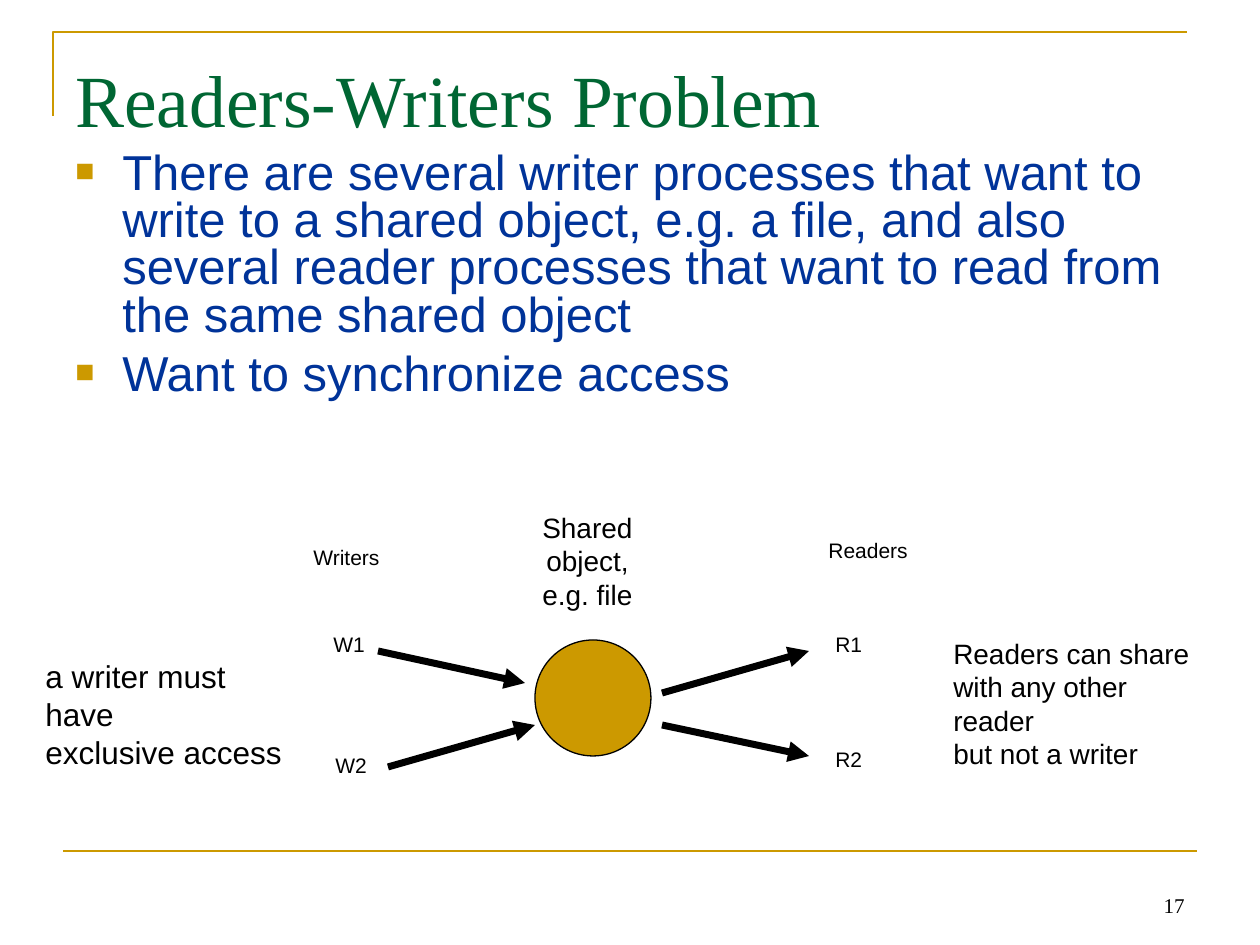
from lxml.etree import SubElement
from pptx import Presentation
from pptx.dml.color import RGBColor
from pptx.enum.shapes import MSO_CONNECTOR, MSO_SHAPE
from pptx.enum.text import MSO_ANCHOR, MSO_AUTO_SIZE, PP_ALIGN
from pptx.oxml.ns import qn
from pptx.util import Emu, Pt

SCALE = 914400 / 126
GOLD, BLACK = "CC9900", "000000"


def tint(color):
    return RGBColor.from_string(color)


def write(box, lines, size, color=BLACK, face="Arial", wrap=False, **form):
    shape = deck.shapes.add_textbox(*[Emu(round(n * SCALE)) for n in box])
    frame = shape.text_frame
    frame.word_wrap = wrap
    frame.auto_size = MSO_AUTO_SIZE.NONE if wrap else MSO_AUTO_SIZE.SHAPE_TO_FIT_TEXT
    for i, line in enumerate(lines):
        para = frame.paragraphs[0] if i == 0 else frame.add_paragraph()
        run = para.add_run()
        run.text = line
        run.font.color.rgb = tint(color)
        for key, value in {"size": Pt(size), "name": face}.items():
            setattr(run.font, key, value)
        for key, value in form.items():
            setattr(para, key, value)
    return frame


show = Presentation()
show.slide_width = Emu(round(1260 * SCALE))
show.slide_height = Emu(round(945 * SCALE))
deck = show.slides.add_slide(show.slide_layouts[6])

pen = deck.shapes.build_freeform(53, 116, scale=SCALE)
pen.add_line_segments([(53, 32), (1187, 32)], close=False)
frame = pen.convert_to_shape()
frame.shadow.inherit = False
frame.fill.background()
frame.line.color.rgb = tint(GOLD)
frame.line.width = Pt(1.5)

title = write((63, 38, 1134, 157), ["Readers-Writers Problem"], 42, "006633",
              "Times New Roman", True)
title.margin_top = Emu(round(16 * SCALE))
number = write((903, 861, 294, 63), ["17"], 12, BLACK, "Times New Roman", True,
               alignment=PP_ALIGN.RIGHT)
number.vertical_anchor = MSO_ANCHOR.BOTTOM

points = [
    "There are several writer processes that want to write to a shared object, "
    "e.g. a file, and also several reader processes that want to read from "
    "the same shared object",
    "Want to synchronize access",
]
body = write((63, 147, 1134, 273), points, 28, "003399", wrap=True, line_spacing=0.8)
for i, para in enumerate(body.paragraphs):
    props = para._p.get_or_add_pPr()
    hang = round(47 * SCALE)
    props.set("marL", str(hang))
    props.set("indent", str(-hang))
    SubElement(SubElement(props, qn("a:buClr")), qn("a:srgbClr"), val=GOLD)
    SubElement(props, qn("a:buSzPct"), val="65000")
    SubElement(props, qn("a:buFont"), typeface="Arial")
    SubElement(props, qn("a:buChar"), char="■")
    if i:
        para.space_before = Pt(7)

labels = [
    ("Writers", 301, 538, 92),
    ("W1", 321, 625, 57),
    ("W2", 323, 746, 57),
    ("Readers", 816, 531, 105),
    ("R1", 823, 625, 52),
    ("R2", 823, 740, 52),
]
for text, x, y, width in labels:
    write((x, y, width, 38), [text], 12)

disc = deck.shapes.add_shape(MSO_SHAPE.OVAL, *[Emu(round(n * SCALE)) for n in (535, 640, 116, 116)])
disc.shadow.inherit = False
disc.fill.solid()
disc.fill.fore_color.rgb = tint(GOLD)
disc.line.color.rgb = tint(BLACK)
disc.line.width = Pt(0.75)

write((530, 504, 115, 113), ["Shared", "object,", "e.g. file"], 16, alignment=PP_ALIGN.CENTER)
write((941, 630, 287, 113),
      ["Readers can share", "with any other reader", "but not a writer"], 16)
write((33, 651, 282, 88), ["a writer must have", "exclusive access"], 18)

lines = [
    ((63, 851, 1197, 851), GOLD, 1.5, False),
    ((378, 651, 525, 683), BLACK, 4, True),
    ((662, 693, 809, 651), BLACK, 4, True),
    ((388, 767, 535, 725), BLACK, 4, True),
    ((662, 725, 809, 756), BLACK, 4, True),
]
for ends, color, width, arrow in lines:
    link = deck.shapes.add_connector(MSO_CONNECTOR.STRAIGHT, *[Emu(round(n * SCALE)) for n in ends])
    link.line.color.rgb = tint(color)
    link.line.width = Pt(width)
    if arrow:
        SubElement(link.line._get_or_add_ln(), qn("a:tailEnd"), type="triangle")
    SubElement(link._element.spPr, qn("a:effectLst"))

show.save("out.pptx")
